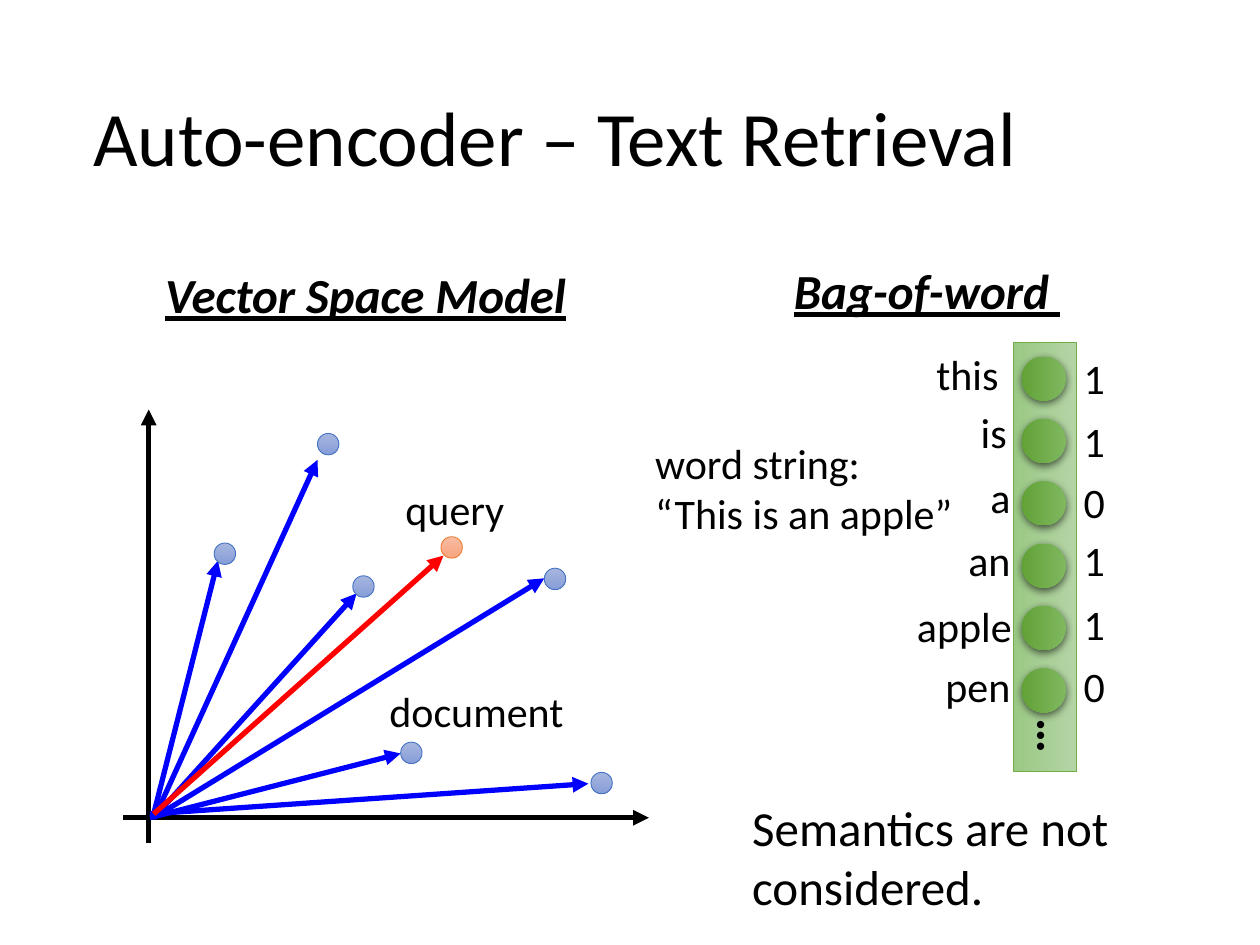
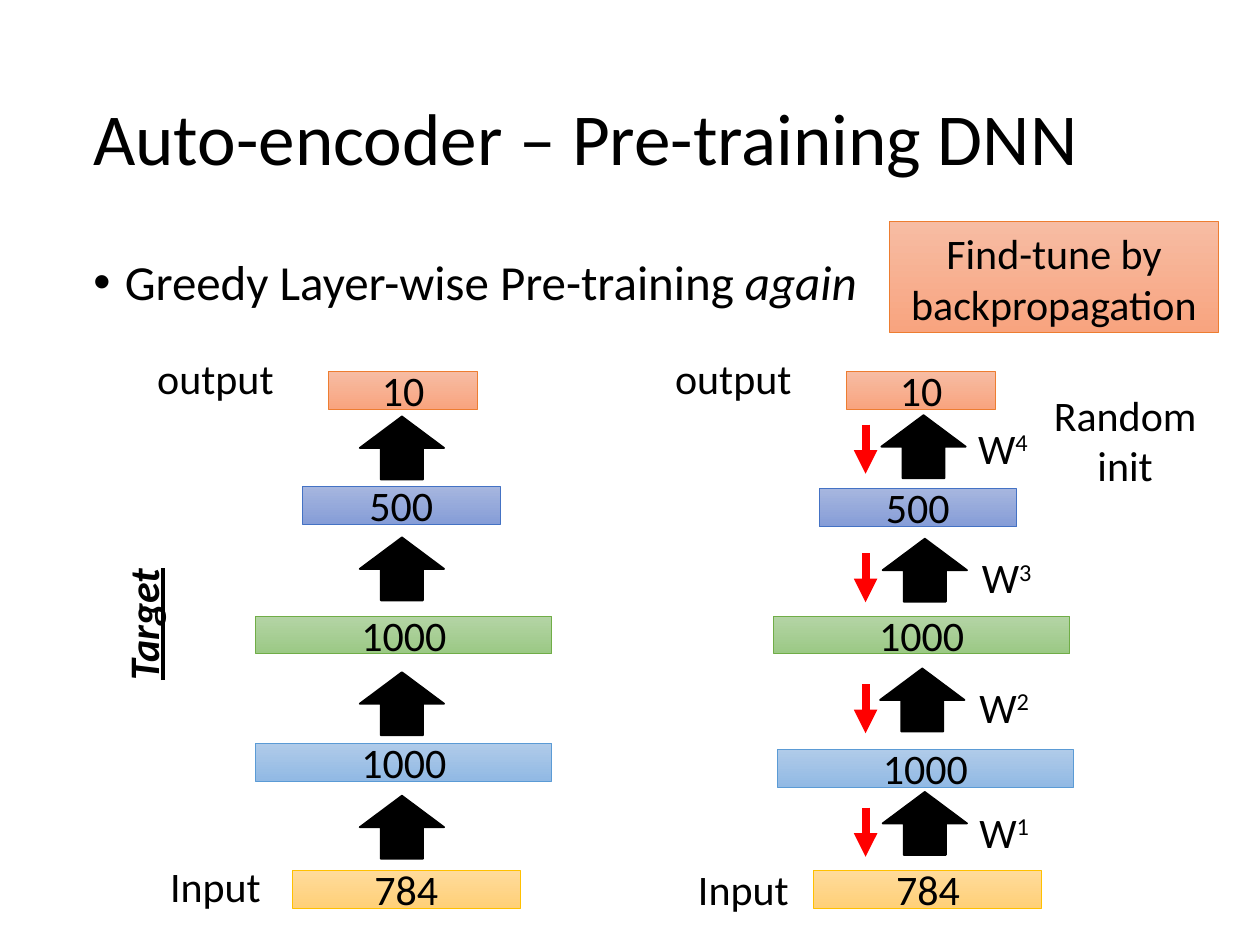
from lxml.etree import SubElement
from pptx import Presentation
from pptx.dml.color import RGBColor
from pptx.enum.shapes import MSO_CONNECTOR, MSO_SHAPE
from pptx.enum.text import MSO_ANCHOR, PP_ALIGN
from pptx.oxml.ns import qn
from pptx.util import Inches, Pt

FONT = "Calibri"
BLACK, BLUE, RED = "000000", "0000FF", "FF0000"
# Gradient top, gradient bottom, outline
ORANGE_TINT = ("F7BCA3", "F8A47F", "ED7D31")
INDIGO_TINT = ("A6B6DF", "869DD7", "4472C4")
GREEN_TINT = ("B4D4A5", "9BC985", "70AD47")
SKY_TINT = ("B0CBE9", "91B9E4", "5B9BD5")
GOLD_TINT = ("FFDB9B", "FFD078", "FFC000")
NEURON_TINT = ("80B860", "61A236", None)
SOLID_BLACK = (BLACK, BLACK, BLACK)

TITLE_BOX = (0.69, 0.4, 8.62, 1.45)
LEFT, CENTER, RIGHT = PP_ALIGN.LEFT, PP_ALIGN.CENTER, PP_ALIGN.RIGHT


def add_text(slide, box, text, shape=None, size=24, bold=False, italic=False,
             underline=False, align=LEFT, anchor=MSO_ANCHOR.TOP, spacing=1.0,
             rotation=0, tail="", tail_attributes=None):
    """Write text into a shape, or a new text box, placed at box.

    The tail is a last run with its own rPr attributes.
    """
    shape = shape or slide.shapes.add_textbox(0, 0, 0, 0)
    shape.left, shape.top, shape.width, shape.height = map(Inches, box)
    shape.rotation = rotation
    frame = shape.text_frame
    frame.word_wrap = True
    frame.vertical_anchor = anchor
    frame.margin_left = frame.margin_right = Inches(0.05)
    frame.margin_top = frame.margin_bottom = Inches(0.05)
    frame.text = text
    if tail:
        tail_run = frame.paragraphs[-1].add_run()
        tail_run.text = tail
        for name, value in tail_attributes.items():
            tail_run._r.get_or_add_rPr().set(name, value)
    for paragraph in frame.paragraphs:
        paragraph.alignment = align
        paragraph.line_spacing = spacing
        paragraph.space_before = Pt(0)
        for run in paragraph.runs:
            font = run.font
            font.name, font.size = FONT, Pt(size)
            font.color.rgb = RGBColor.from_string(BLACK)
            if bold:
                font.bold = True
            if italic:
                font.italic = True
            if underline:
                font.underline = True
    return shape


def add_filled(slide, kind, box, tint, line_width=0.5, rotation=0):
    """Add a preset shape with a vertical gradient and a thin outline."""
    shape = slide.shapes.add_shape(kind, *map(Inches, box))
    shape.rotation = rotation
    shape.shadow.inherit = False
    top, bottom, outline = tint
    if top == bottom:
        shape.fill.solid()
        shape.fill.fore_color.rgb = RGBColor.from_string(top)
    else:
        shape.fill.gradient()
        shape.fill.gradient_angle = 270
        for stop, colour in zip(shape.fill.gradient_stops, (top, bottom)):
            stop.color.rgb = RGBColor.from_string(colour)
    if outline:
        shape.line.color.rgb = RGBColor.from_string(outline)
        shape.line.width = Pt(line_width)
    else:
        shape.line.fill.background()
    return shape


presentation = Presentation()
presentation.slide_width, presentation.slide_height = Inches(10), Inches(7.5)
retrieval = presentation.slides.add_slide(presentation.slide_layouts[5])
pretraining = presentation.slides.add_slide(presentation.slide_layouts[1])

for slide, title, size in (
    (retrieval, "Auto-encoder – Text Retrieval", 44),
    (pretraining, "Auto-encoder – Pre-training DNN", 41.8),
):
    add_text(slide, TITLE_BOX, title, shape=slide.shapes.title, size=size,
             anchor=MSO_ANCHOR.MIDDLE, spacing=0.9)

# Arrows of both slides: axes and vectors, then backpropagation steps
arrows = [
    (retrieval, (0.98, 6.49), (5.15, 6.49), BLACK, 3),
    (retrieval, (1.18, 6.69), (1.18, 3.25), BLACK, 3),
]
for start, end in (
    ((1.22, 6.46), (1.73, 4.45)),
    ((1.19, 6.49), (3.18, 5.98)),
    ((1.19, 6.46), (4.67, 6.22)),
    ((1.22, 6.49), (4.32, 4.59)),
    ((1.24, 6.46), (2.52, 3.65)),
    ((1.22, 6.49), (2.83, 4.71)),
):
    arrows.append((retrieval, start, end, BLUE, 3))
arrows.append((retrieval, (1.22, 6.46), (3.52, 4.41), RED, 3))
for top in (3.37, 4.39, 5.43, 6.41):
    arrows.append((pretraining, (6.87, top), (6.87, top + 0.39), RED, 4.5))

for slide, start, end, colour, width in arrows:
    arrow = slide.shapes.add_connector(MSO_CONNECTOR.STRAIGHT, *map(Inches, start + end))
    arrow.line.color.rgb = RGBColor.from_string(colour)
    arrow.line.width = Pt(width)
    properties = arrow._element.spPr
    SubElement(properties.find(qn("a:ln")), qn("a:tailEnd"), type="triangle")
    SubElement(properties, qn("a:effectLst"))

# Slide 1, left: vector space model
add_text(retrieval, (1.26, 2.05, 3.61, 0.99), "Vector Space Model",
         size=28, bold=True, italic=True, underline=True)
for left, top, tint in (
    (3.5, 4.26, ORANGE_TINT),
    (2.52, 3.44, INDIGO_TINT),
    (2.8, 4.57, INDIGO_TINT),
    (4.32, 4.51, INDIGO_TINT),
    (1.7, 4.31, INDIGO_TINT),
    (3.18, 5.89, INDIGO_TINT),
    (4.69, 6.13, INDIGO_TINT),
):
    add_filled(retrieval, MSO_SHAPE.OVAL, (left, top, 0.17, 0.17), tint)
add_text(retrieval, (3.04, 5.39, 1.62, 0.49), "document")
add_text(retrieval, (2.8, 3.79, 1.62, 0.49), "query", align=CENTER)

# Slide 1, right: bag of words
add_text(retrieval, (6.25, 2.02, 2.49, 0.54), "Bag-of-word ",
         size=28, bold=True, italic=True, underline=True)
add_text(retrieval, (5.15, 3.42, 3.11, 0.88), "word string:\n“This is an apple”")
add_filled(retrieval, MSO_SHAPE.RECTANGLE, (6.59, 4.17, 3.4, 0.5), GREEN_TINT, rotation=90)
for row, (word, word_right, word_top, count, count_top) in enumerate((
    ("this ", 8.05, 2.72, "1", 2.75),
    ("is", 8.04, 3.18, "1", 3.25),
    ("a", 8.07, 3.69, "0", 3.73),
    ("an", 8.07, 4.19, "1", 4.19),
    ("apple", 8.08, 4.72, "1", 4.7),
    ("pen", 8.07, 5.19, "0", 5.19),
)):
    neuron = add_filled(retrieval, MSO_SHAPE.OVAL, (8.11, 2.83 + 0.495 * row, 0.35, 0.35),
                        NEURON_TINT, rotation=90)
    effects = neuron._element.spPr.find(qn("a:effectLst"))
    shadow = SubElement(effects, qn("a:outerShdw"), blurRad=str(Pt(5)), dist=str(Pt(1.5)),
                        dir="5400000", algn="ctr", rotWithShape="0")
    shadow_colour = SubElement(shadow, qn("a:srgbClr"), val=BLACK)
    SubElement(shadow_colour, qn("a:alpha"), val="63000")
    add_text(retrieval, (word_right - 1.06, word_top, 1.06, 0.49), word, align=RIGHT)
    add_text(retrieval, (8.55, count_top, 0.33, 0.49), count)
add_text(retrieval, (8.17, 5.61, 0.46, 0.54), "…", size=28, bold=True, rotation=90)
add_text(retrieval, (5.92, 6.28, 3.52, 0.99), "Semantics are not considered.", size=28)

# Slide 2: heading, bullet and callout
body = add_text(pretraining, (0.69, 2, 8.62, 4.76), "Greedy Layer-wise Pre-training ",
                shape=pretraining.placeholders[1], size=28, spacing=0.9,
                tail="again", tail_attributes={"i": "1"})
bullet = body.text_frame.paragraphs[0]._p.get_or_add_pPr()
bullet.set("marL", str(Inches(0.25)))
bullet.set("indent", str(Inches(-0.25)))
callout_box = (7.06, 1.76, 2.61, 0.88)
callout = add_filled(pretraining, MSO_SHAPE.RECTANGLE, callout_box, ORANGE_TINT)
add_text(pretraining, callout_box, "Find-tune by backpropagation", shape=callout, align=CENTER)
add_text(pretraining, (0.42, 4.71, 1.41, 0.49), "Target", bold=True, italic=True,
         underline=True, align=CENTER, rotation=270)

# Slide 2: the two networks; each layer has the place of its left and right bar
for units, width, tint, places in (
    ("784", 1.81, GOLD_TINT, ((2.32, 6.91), (6.46, 6.91))),
    ("1000", 2.35, SKY_TINT, ((2.03, 5.9), (6.17, 5.95))),
    ("1000", 2.35, GREEN_TINT, ((2.03, 4.89), (6.14, 4.89))),
    ("500", 1.57, INDIGO_TINT, ((2.4, 3.86), (6.5, 3.88))),
    ("10", 1.18, ORANGE_TINT, ((2.61, 2.95), (6.72, 2.95))),
):
    for left, top in places:
        add_filled(pretraining, MSO_SHAPE.RECTANGLE, (left, top, width, 0.3), tint)
        add_text(pretraining, (left, top - 0.1, width, 0.49), units, align=CENTER,
                 anchor=MSO_ANCHOR.MIDDLE)

for left, top in (
    (2.94, 6.23), (2.94, 5.25), (2.94, 4.18), (2.94, 3.22),
    (7.09, 6.2), (7.07, 5.22), (7.09, 4.19), (7.08, 3.21),
):
    add_filled(pretraining, MSO_SHAPE.RIGHT_ARROW, (left, top, 0.5, 0.67), SOLID_BLACK,
               line_width=1, rotation=270)

for layer, (left, top) in enumerate(
    ((7.37, 6.35), (7.37, 5.36), (7.39, 4.33), (7.36, 3.3)), start=1
):
    add_text(pretraining, (left, top, 1.2, 0.49), "W", align=CENTER,
             tail=str(layer), tail_attributes={"baseline": "30000"})

for label, left, top in (
    ("Input", 1.11, 6.78), ("output", 1.11, 2.75),
    ("Input", 5.3, 6.8), ("output", 5.22, 2.75),
):
    add_text(pretraining, (left, top, 1.2, 0.49), label, align=CENTER)
add_text(pretraining, (8.26, 3.04, 1.34, 0.88), "Random init", align=CENTER)

presentation.save("out.pptx")
